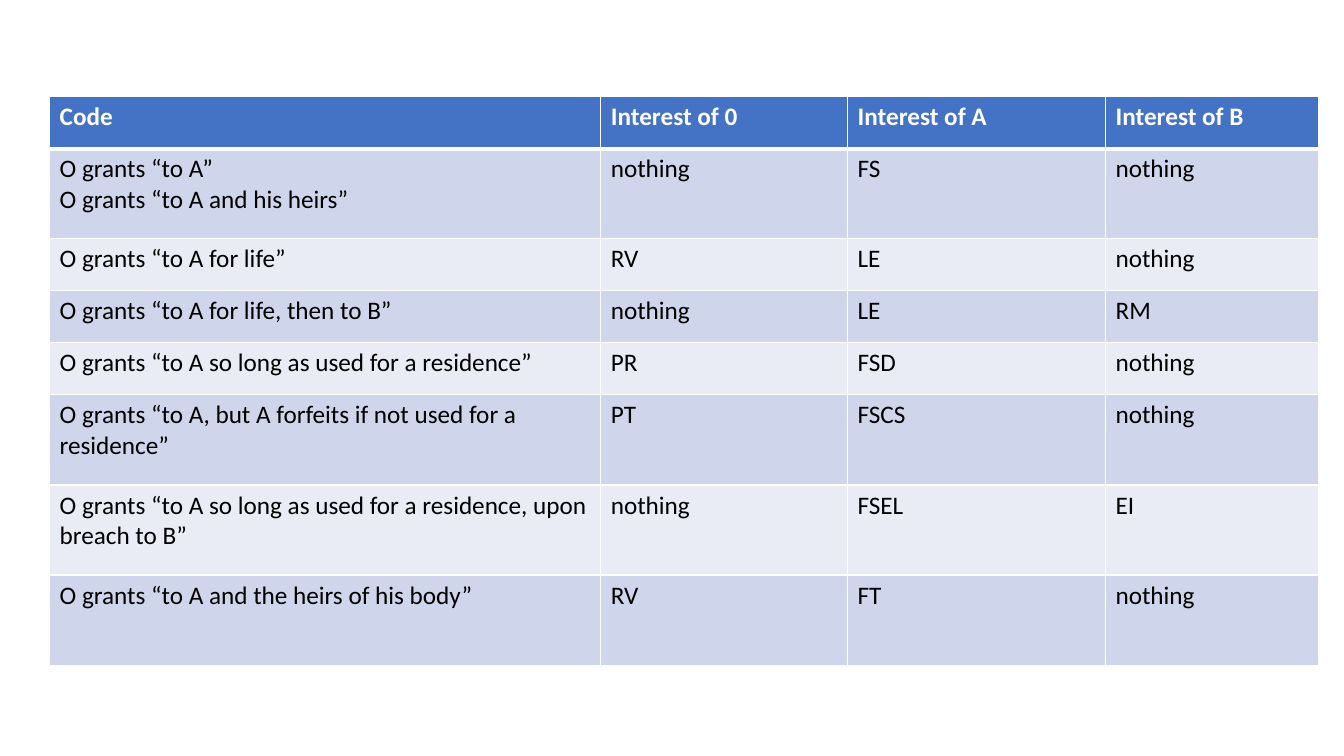
from dataclasses import dataclass

from lxml.etree import SubElement
from pptx import Presentation
from pptx.dml.color import RGBColor
from pptx.oxml.ns import qn
from pptx.util import Cm, Pt


@dataclass(frozen=True)
class Theme:
    font: str = "Calibri"
    size: int = 18
    header_fill: str = "4472C4"
    band_fills: tuple = ("CFD5EA", "E9EBF5")
    header_text: str = "FFFFFF"
    body_text: str = "000000"
    border: str = "FFFFFF"
    thin: int = 1
    thick: int = 3


@dataclass(frozen=True)
class Box:
    left: float
    top: float
    width: float
    height: float


THEME = Theme()
TABLE_BOX = Box(1.25, 2.44, 31.97, 14.32)
COLUMN_WIDTHS = (13.89, 6.22, 6.5, 5.36)
SHORT_ROW, TALL_ROW = 1.31, 2.27
TALL_ROWS = {1, 5, 6, 7}

GRANTS = [
    ("Code", "Interest of 0", "Interest of A", "Interest of B"),
    ("O grants “to A”\nO grants “to A and his heirs”", "nothing", "FS", "nothing"),
    ("O grants “to A for life”", "RV", "LE", "nothing"),
    ("O grants “to A for life, then to B”", "nothing", "LE", "RM"),
    ("O grants “to A so long as used for a residence”", "PR", "FSD", "nothing"),
    ("O grants “to A, but A forfeits if not used for a residence”", "PT", "FSCS", "nothing"),
    ("O grants “to A so long as used for a residence, upon breach to B”", "nothing", "FSEL", "EI"),
    ("O grants “to A and the heirs of his body”", "RV", "FT", "nothing"),
]


def set_borders(cell, row_index):
    """Draw thin cell edges, with a thick rule below the header."""
    thick_side = {0: "lnB", 1: "lnT"}.get(row_index)
    properties = cell._tc.get_or_add_tcPr()
    for side in ("lnL", "lnR", "lnT", "lnB"):
        points = THEME.thick if side == thick_side else THEME.thin
        line = SubElement(properties, qn(f"a:{side}"), w=str(Pt(points)))
        fill = SubElement(line, qn("a:solidFill"))
        SubElement(fill, qn("a:srgbClr"), val=THEME.border)


def fill_cell(cell, text, row_index):
    """Write and style one cell according to its row."""
    is_header = row_index == 0
    cell.text_frame.text = text
    for para in cell.text_frame.paragraphs:
        for span in para.runs:
            span.font.name = THEME.font
            span.font.size = Pt(THEME.size)
            span.font.bold = is_header
            color = THEME.header_text if is_header else THEME.body_text
            span.font.color.rgb = RGBColor.from_string(color)
    # Borders come before the fill in the cell properties
    set_borders(cell, row_index)
    band = THEME.band_fills[(row_index - 1) % 2]
    cell.fill.solid()
    cell.fill.fore_color.rgb = RGBColor.from_string(THEME.header_fill if is_header else band)


def add_grants_table(page, box):
    """Place the table of grants and resulting interests in the box."""
    frame = page.shapes.add_table(
        len(GRANTS), len(COLUMN_WIDTHS),
        Cm(box.left), Cm(box.top), Cm(box.width), Cm(box.height),
    )
    table = frame.table
    # Share the box among columns and rows
    width_scale = box.width / sum(COLUMN_WIDTHS)
    for column, width in zip(table.columns, COLUMN_WIDTHS):
        column.width = Cm(width * width_scale)
    heights = [TALL_ROW if i in TALL_ROWS else SHORT_ROW for i in range(len(GRANTS))]
    height_scale = box.height / sum(heights)
    for row, height in zip(table.rows, heights):
        row.height = Cm(height * height_scale)
    # Fill the cells
    for row_index, texts in enumerate(GRANTS):
        for column_index, text in enumerate(texts):
            fill_cell(table.cell(row_index, column_index), text, row_index)


def main():
    deck = Presentation()
    deck.slide_width, deck.slide_height = Cm(33.87), Cm(19.05)
    page = deck.slides.add_slide(deck.slide_layouts[6])
    add_grants_table(page, TABLE_BOX)
    deck.save("out.pptx")


if __name__ == "__main__":
    main()
